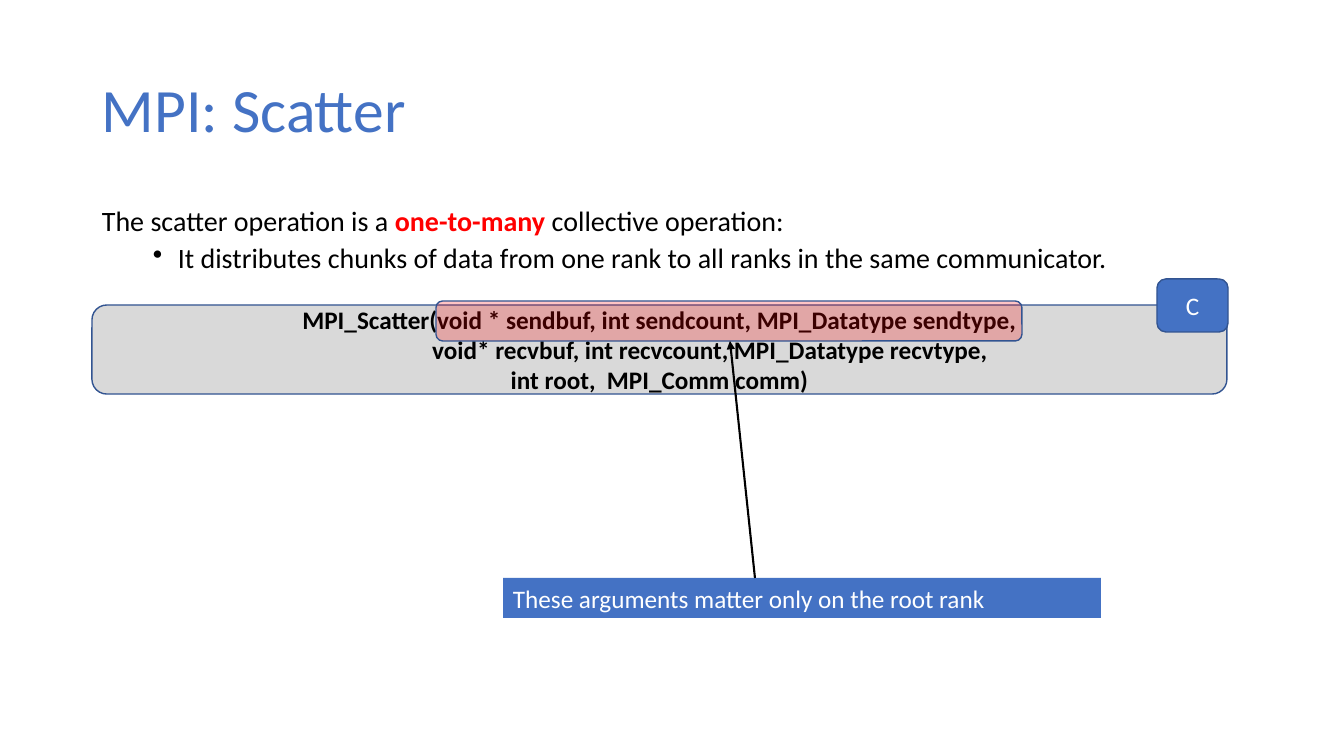
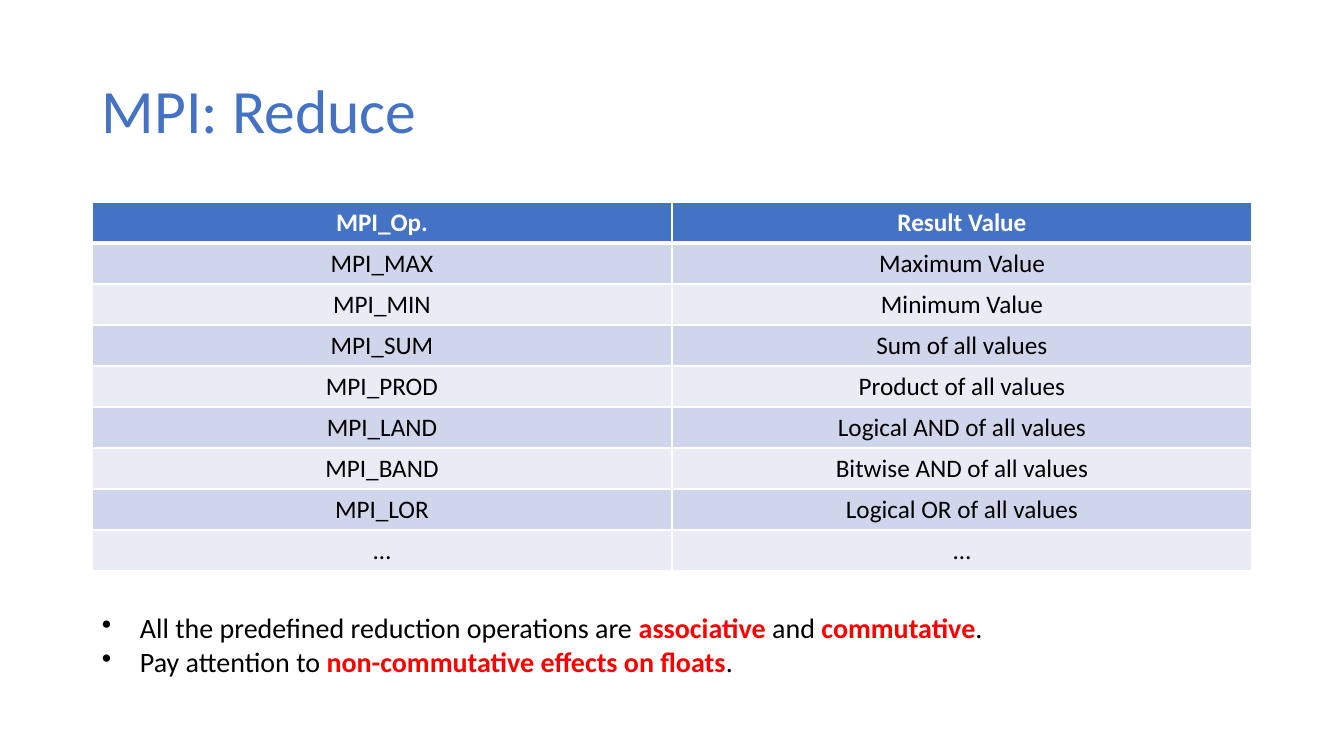
"""Build two slides on the MPI scatter and reduce operations."""
from lxml.etree import SubElement
from pptx import Presentation
from pptx.dml.color import RGBColor
from pptx.enum.shapes import MSO_CONNECTOR, MSO_SHAPE
from pptx.enum.text import MSO_ANCHOR, PP_ALIGN
from pptx.oxml.ns import qn
from pptx.util import Pt

SCALE = 914400 / 100.8
FONT = "Calibri"
BLUE = RGBColor(0x44, 0x72, 0xC4)
EDGE = RGBColor(0x32, 0x54, 0x91)
GREY = RGBColor(0xD9, 0xD9, 0xD9)
RED = RGBColor(0xFF, 0, 0)
BLACK = RGBColor(0, 0, 0)
WHITE = RGBColor(0xFF, 0xFF, 0xFF)
BANDS = RGBColor(0xE9, 0xEB, 0xF5), RGBColor(0xCF, 0xD5, 0xEA)


def px(n):
    return round(n * SCALE)


class Deck:
    def __init__(self):
        self.prs = Presentation()
        self.prs.slide_width, self.prs.slide_height = px(1344), px(756)

    def page(self, title, top):
        self.slide = self.prs.slides.add_slide(self.prs.slide_layouts[6])
        frame = self.text(92, top, 1160, 146, MSO_ANCHOR.MIDDLE)
        self.para(frame, title, 44, BLUE).line_spacing = 0.9

    def text(self, x, y, w, h, anchor=MSO_ANCHOR.TOP):
        frame = self.slide.shapes.add_textbox(*map(px, (x, y, w, h))).text_frame
        frame.word_wrap = True
        frame.vertical_anchor = anchor
        return frame

    def para(self, frame, text, size=18, color=BLACK, bold=False,
             align=PP_ALIGN.LEFT, left=0, hang=0):
        """Add a paragraph; parts between bars are red and bold."""
        para = frame.paragraphs[0]
        if para.runs:
            para = frame.add_paragraph()
        para.alignment = align
        font = para.font
        font.name, font.size, font.bold = FONT, Pt(size), bold
        font.color.rgb = color
        for i, part in enumerate(text.split("|")):
            run = para.add_run()
            run.text = part
            if i % 2:
                run.font.bold = True
                run.font.color.rgb = RED
        props = para._p.get_or_add_pPr()
        if left:
            props.set("marL", str(px(left)))
        if hang:
            props.set("indent", str(-px(hang)))
            bullet = props.makeelement(qn("a:buChar"), {"char": "•"})
            props.find(qn("a:defRPr")).addprevious(bullet)
        return para

    def box(self, x, y, w, h, fill, kind=MSO_SHAPE.ROUNDED_RECTANGLE,
            edge=EDGE, alpha=None):
        shape = self.slide.shapes.add_shape(kind, *map(px, (x, y, w, h)))
        shape.shadow.inherit = False
        shape.fill.solid()
        shape.fill.fore_color.rgb = fill
        if alpha:
            tint = shape._element.spPr.find(qn("a:solidFill"))[0]
            SubElement(tint, qn("a:alpha"), val=str(alpha * 1000))
        if edge is None:
            shape.line.fill.background()
        else:
            shape.line.color.rgb = edge
            shape.line.width = Pt(1)
        shape.text_frame.word_wrap = True
        return shape.text_frame

    def arrow(self, *ends):
        line = self.slide.shapes.add_connector(
            MSO_CONNECTOR.STRAIGHT, *map(px, ends))
        line.line.color.rgb = BLACK
        line.line.width = Pt(1.5)
        SubElement(line.line._get_or_add_ln(), qn("a:tailEnd"), type="triangle")
        SubElement(line._element.spPr, qn("a:effectLst"))

    def border(self, cell, side, width):
        line = SubElement(cell._tc.get_or_add_tcPr(), qn("a:" + side),
                          w=str(Pt(width)))
        fill = SubElement(line, qn("a:solidFill"))
        SubElement(fill, qn("a:srgbClr"), val=str(WHITE))

    def table(self, x, y, w, row, data):
        table = self.slide.shapes.add_table(
            len(data), len(data[0]),
            *map(px, (x, y, w, row * len(data)))).table
        for r, words in enumerate(data):
            head = r == 0
            for c, word in enumerate(words):
                cell = table.cell(r, c)
                self.para(cell.text_frame, word, 18, WHITE if head else BLACK,
                          head, PP_ALIGN.CENTER)
                for side in ("lnL", "lnR", "lnT", "lnB"):
                    thick = (head and side == "lnB") or (r == 1 and side == "lnT")
                    self.border(cell, side, 3 if thick else 1)
                cell.fill.solid()
                cell.fill.fore_color.rgb = BLUE if head else BANDS[r % 2]


def scatter(deck):
    deck.page("MPI: Scatter", 40)
    body = deck.text(92, 202, 1160, 480)
    intro = deck.para(
        body, "The scatter operation is a |one-to-many |collective operation:", 20)
    point = deck.para(
        body, "It distributes chunks of data from one rank to all ranks "
        "in the same communicator.", 20, left=76, hang=25)
    for para, gap in ((intro, 10), (point, 5)):
        para.line_spacing = 0.9
        para.space_before = Pt(gap)

    code = deck.box(92, 305, 1135, 89, GREY)
    for line, left in (
            ("MPI_Scatter(void * sendbuf, int sendcount, MPI_Datatype sendtype,", 0),
            ("void* recvbuf, int recvcount, MPI_Datatype recvtype,", 101),
            ("int root,  MPI_Comm comm)", 0)):
        deck.para(code, line, bold=True, align=PP_ALIGN.CENTER, left=left)
    tag = deck.box(1157, 279, 71, 53, BLUE)
    deck.para(tag, "C", color=WHITE, align=PP_ALIGN.CENTER)
    deck.box(436, 301, 586, 40, RED, alpha=23)
    note = deck.box(503, 578, 598, 40, BLUE, MSO_SHAPE.RECTANGLE, None)
    note.vertical_anchor = MSO_ANCHOR.TOP
    deck.para(note, "These arguments matter only on the root rank", color=WHITE)
    deck.arrow(755, 578, 730, 341)


def reduce(deck):
    deck.page("MPI: Reduce", 41)
    deck.table(92, 202, 1160, 41, (
        ("MPI_Op.", "Result Value"),
        ("MPI_MAX", "Maximum Value"),
        ("MPI_MIN", "Minimum Value"),
        ("MPI_SUM", "Sum of all values"),
        ("MPI_PROD", "Product of all values"),
        ("MPI_LAND", "Logical AND of all values"),
        ("MPI_BAND", "Bitwise AND of all values"),
        ("MPI_LOR", "Logical OR of all values"),
        ("…", "…")))
    notes = deck.text(92, 606, 1123, 78)
    for line in (
            "All the predefined reduction operations are |associative| and "
            "|commutative|.",
            "Pay attention to |non-commutative effects on floats|."):
        deck.para(notes, line, 20, left=38, hang=38)


deck = Deck()
scatter(deck)
reduce(deck)
deck.prs.save("out.pptx")
